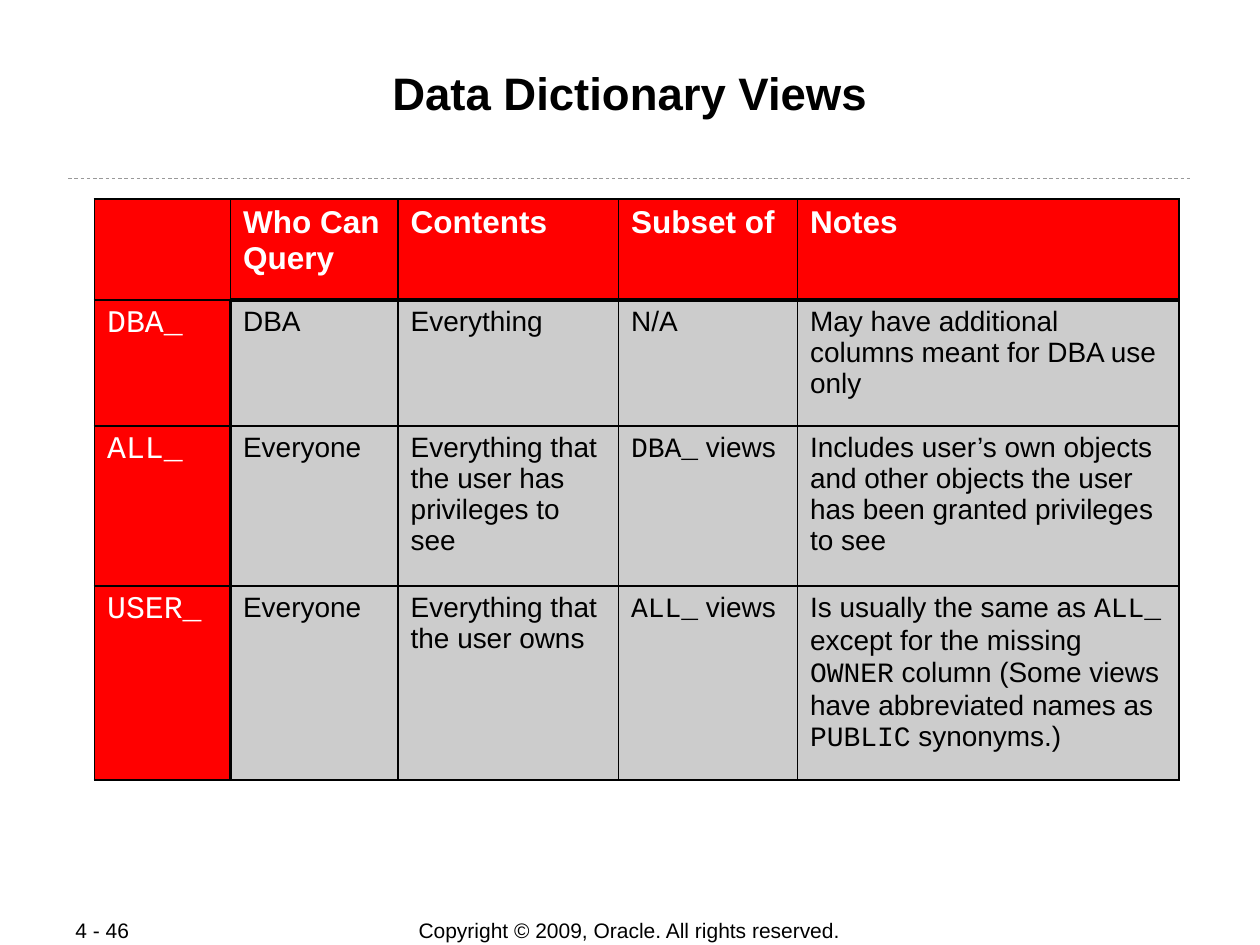
from dataclasses import dataclass

from lxml import etree
from pptx import Presentation
from pptx.dml.color import RGBColor
from pptx.enum.dml import MSO_LINE
from pptx.enum.shapes import MSO_CONNECTOR
from pptx.enum.text import MSO_ANCHOR, PP_ALIGN
from pptx.oxml.ns import qn
from pptx.util import Emu, Inches, Pt

STRAIGHT = MSO_CONNECTOR.STRAIGHT
DASH = MSO_LINE.DASH
LEFT, CENTER = PP_ALIGN.LEFT, PP_ALIGN.CENTER
TOP, MIDDLE = MSO_ANCHOR.TOP, MSO_ANCHOR.MIDDLE


@dataclass(frozen=True)
class Theme:
    black: str = "000000"
    white: str = "FFFFFF"
    rule: str = "999999"
    heading_fill: str = "FF0000"
    body_fill: str = "CCCCCC"
    font: str = "Arial"
    code_font: str = "Courier New"
    title_size: int = 26
    heading_size: int = 18
    body_size: int = 16
    footer_size: int = 12
    thin: float = 1.08
    thick: float = 2.21


@dataclass(frozen=True)
class Run:
    text: str
    code: bool = False


@dataclass(frozen=True)
class Style:
    size: int
    color: str
    bold: bool = False


@dataclass(frozen=True)
class Label:
    text: str
    left: float
    top: float
    width: float
    height: float
    style: Style
    align: PP_ALIGN
    anchor: MSO_ANCHOR
    inset_x: float = 0.1
    inset_y: float = 0.05


THEME = Theme()
HEADING = Style(THEME.heading_size, THEME.white, bold=True)
PREFIX = Style(THEME.heading_size, THEME.white)
BODY = Style(THEME.body_size, THEME.black)
FOOTER = Style(THEME.footer_size, THEME.black)
TITLE = Style(THEME.title_size, THEME.black, bold=True)

LABELS = [
    Label("Copyright © 2009, Oracle. All rights reserved.",
          2.75, 7.28, 4.49, 0.21, FOOTER, CENTER, MIDDLE),
    Label("4 - 46", 0.5, 7.28, 1.06, 0.2, FOOTER, LEFT, MIDDLE),
    Label("Data Dictionary Views", 0.67, 0.48, 8.66, 0.96, TITLE, CENTER, TOP,
          inset_x=0.01, inset_y=0.04),
]

COLUMN_WIDTHS = [1.08, 1.33, 1.75, 1.42, 3.03]
ROW_HEIGHTS = [0.8, 1, 1.27, 1.54]
VIEWS = [
    [[], [Run("Who Can Query")], [Run("Contents")], [Run("Subset of")], [Run("Notes")]],
    [[Run("DBA_", code=True)], [Run("DBA")], [Run("Everything")], [Run("N/A")],
     [Run("May have additional columns meant for DBA use only")]],
    [[Run("ALL_", code=True)], [Run("Everyone")],
     [Run("Everything that the user has privileges to see")],
     [Run("DBA_", code=True), Run(" views")],
     [Run("Includes user’s own objects and other objects the user "
          "has been granted privileges to see")]],
    [[Run("USER_", code=True)], [Run("Everyone")],
     [Run("Everything that the user owns")],
     [Run("ALL_", code=True), Run(" views")],
     [Run("Is usually the same as "), Run("ALL_", code=True),
      Run(" except for the missing "), Run("OWNER", code=True),
      Run(" column (Some views have abbreviated names as "),
      Run("PUBLIC", code=True), Run(" synonyms.)")]],
]


def add_runs(paragraph, runs: list[Run], style: Style) -> None:
    for part in runs:
        run = paragraph.add_run()
        run.text = part.text
        run.font.name = THEME.code_font if part.code else THEME.font
        run.font.size = Pt(style.size)
        run.font.bold = style.bold
        run.font.color.rgb = RGBColor.from_string(style.color)


def add_label(slide, label: Label) -> None:
    box = slide.shapes.add_textbox(Inches(label.left), Inches(label.top),
                                   Inches(label.width), Inches(label.height))
    frame = box.text_frame
    frame.word_wrap = True
    frame.vertical_anchor = label.anchor
    frame.margin_left = frame.margin_right = Inches(label.inset_x)
    frame.margin_top = frame.margin_bottom = Inches(label.inset_y)
    paragraph = frame.paragraphs[0]
    paragraph.alignment = label.align
    add_runs(paragraph, [Run(label.text)], label.style)


def add_title_rule(slide) -> None:
    rule = slide.shapes.add_connector(STRAIGHT, Inches(0.54), Inches(1.42),
                                      Inches(9.46), Inches(1.42))
    rule.line.color.rgb = RGBColor.from_string(THEME.rule)
    rule.line.width = Pt(0.5)
    rule.line.dash_style = DASH
    etree.SubElement(rule._element.spPr, qn("a:effectLst"))


def set_borders(cell, row: int, column: int) -> None:
    """Thin borders, with thick ones between the headings and the body."""
    thick_edges = {
        "L": row > 0 and column == 1,
        "R": row > 0 and column == 0,
        "T": row == 1 and column > 0,
        "B": row == 0 and column > 0,
    }
    properties = cell._tc.get_or_add_tcPr()
    for position, (edge, is_thick) in enumerate(thick_edges.items()):
        width = Pt(THEME.thick if is_thick else THEME.thin)
        border = etree.Element(qn(f"a:ln{edge}"), w=str(width))
        fill = etree.SubElement(border, qn("a:solidFill"))
        etree.SubElement(fill, qn("a:srgbClr"), val=THEME.black)
        properties.insert(position, border)


def add_views_table(slide) -> None:
    table = slide.shapes.add_table(
        len(ROW_HEIGHTS), len(COLUMN_WIDTHS), Inches(0.75), Inches(1.58),
        Inches(sum(COLUMN_WIDTHS)), Inches(sum(ROW_HEIGHTS))).table
    for column, width in zip(table.columns, COLUMN_WIDTHS):
        column.width = Inches(width)
    for row, height in zip(table.rows, ROW_HEIGHTS):
        row.height = Inches(height)
    for row, views in enumerate(VIEWS):
        for column, runs in enumerate(views):
            cell = table.cell(row, column)
            style = HEADING if row == 0 else PREFIX if column == 0 else BODY
            fill = THEME.body_fill if style is BODY else THEME.heading_fill
            cell.fill.solid()
            cell.fill.fore_color.rgb = RGBColor.from_string(fill)
            set_borders(cell, row, column)
            add_runs(cell.text_frame.paragraphs[0], runs, style)


def main() -> None:
    deck = Presentation()
    deck.slide_width, deck.slide_height = Emu(Inches(10)), Emu(Inches(7.5))
    slide = deck.slides.add_slide(deck.slide_layouts[6])
    add_title_rule(slide)
    for label in LABELS:
        add_label(slide, label)
    add_views_table(slide)
    deck.save("out.pptx")


if __name__ == "__main__":
    main()
